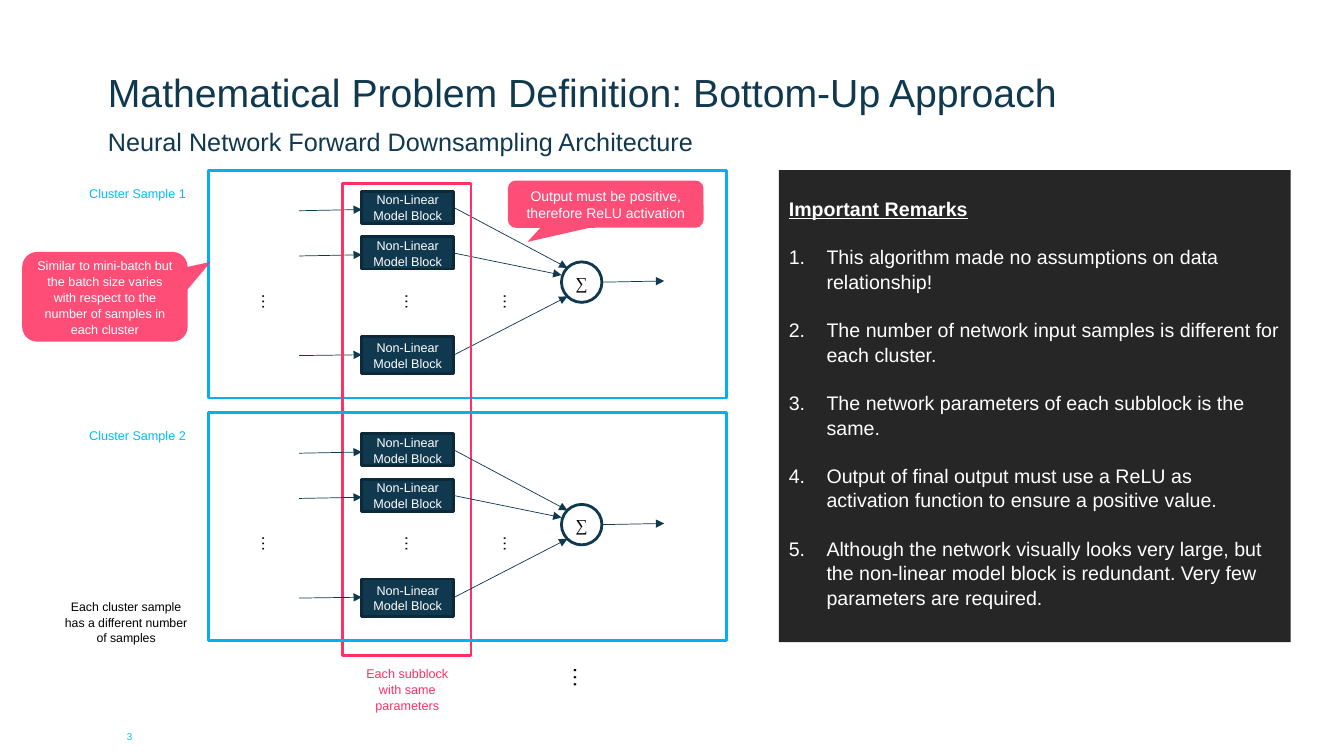
from lxml.etree import SubElement
from pptx import Presentation
from pptx.dml.color import RGBColor
from pptx.enum.shapes import MSO_CONNECTOR, MSO_SHAPE
from pptx.enum.text import MSO_ANCHOR, PP_ALIGN
from pptx.oxml.ns import qn
from pptx.util import Cm, Pt

NAVY = RGBColor(0x10, 0x38, 0x4F)
DARK_NAVY = RGBColor(0x0C, 0x29, 0x3A)
CYAN = RGBColor(0x00, 0xBC, 0xFF)
BLUE = RGBColor(0x00, 0xB0, 0xF0)
PINK = RGBColor(0xFF, 0x31, 0x62)
CALLOUT_PINK = RGBColor(0xFE, 0x30, 0x61)
CHARCOAL = RGBColor(0x26, 0x26, 0x26)
WHITE = RGBColor(0xFF, 0xFF, 0xFF)
BLACK = RGBColor(0x00, 0x00, 0x00)

# Model block rows: top, height, input y (from, to), arrow end at the sum
ROWS = [
    (0.53, 0.81, (1.02, 0.99), (14.3, 2.46)),
    (1.68, 0.81, (2.16, 2.13), (14.15, 2.64)),
    (4.19, 0.94, (4.67, 4.65), (14.3, 3.18)),
]
CLUSTER_TOPS = (4.29, 10.4)
BLOCK_LEFT, BLOCK_WIDTH = 9.12, 2.31

REMARKS = [
    "This algorithm made no assumptions on data relationship!",
    "The number of network input samples is different for each cluster.",
    "The network parameters of each subblock is the same.",
    "Output of final output must use a ReLU as activation function to ensure a positive value.",
    "Although the network visually looks very large, but the non-linear model block is "
    "redundant. Very few parameters are required.",
]


def write(p, text, size=9, color=WHITE, font="Arial", align=PP_ALIGN.CENTER,
          bold=False, underline=False, before=0):
    """Fill one paragraph with formatted text."""
    p.alignment = align
    p.line_spacing = 1.05
    p.space_before = Pt(before)
    r = p.add_run()
    r.text = text
    r.font.name, r.font.size = font, Pt(size)
    r.font.bold, r.font.underline = bold, underline
    r.font.color.rgb = color


def set_insets(tf, x, y):
    tf.margin_left = tf.margin_right = Cm(x)
    tf.margin_top = tf.margin_bottom = Cm(y)


class Canvas:
    def __init__(self, slide, line_width=2, arrow_width=0.5):
        self.slide = slide
        self.shapes = slide.shapes
        self.line_width = Pt(line_width)
        self.arrow_width = Pt(arrow_width)

    def shape(self, kind, x, y, w, h, fill=None, line=None, text=None, insets=(0.25, 0.13), **fmt):
        sp = self.shapes.add_shape(kind, Cm(x), Cm(y), Cm(w), Cm(h))
        sp.shadow.inherit = False
        if fill is None:
            sp.fill.background()
        else:
            sp.fill.solid()
            sp.fill.fore_color.rgb = fill
        if line is None:
            sp.line.fill.background()
        else:
            sp.line.color.rgb = line
            sp.line.width = self.line_width
        if text:
            tf = sp.text_frame
            tf.word_wrap = True
            tf.vertical_anchor = MSO_ANCHOR.MIDDLE
            set_insets(tf, *insets)
            write(tf.paragraphs[0], text, **fmt)
        return sp

    def text(self, x, y, w, h, text, anchor=MSO_ANCHOR.TOP, wrap=True, **fmt):
        tf = self.shapes.add_textbox(Cm(x), Cm(y), Cm(w), Cm(h)).text_frame
        tf.word_wrap = wrap
        tf.vertical_anchor = anchor
        set_insets(tf, 0, 0)
        write(tf.paragraphs[0], text, **fmt)
        return tf

    def dots(self, x, y, size=12):
        tf = self.text(x, y, 0.81, 0.64, "…", wrap=False, size=size, color=BLACK,
                       align=PP_ALIGN.LEFT)
        tf._txBody.bodyPr.set("vert", "eaVert")

    def arrow(self, x1, y1, x2, y2):
        c = self.shapes.add_connector(MSO_CONNECTOR.STRAIGHT, Cm(x1), Cm(y1), Cm(x2), Cm(y2))
        c.line.color.rgb = NAVY
        c.line.width = self.arrow_width
        spPr = c._element.spPr
        SubElement(spPr.find(qn("a:ln")), qn("a:tailEnd"), type="triangle")
        SubElement(spPr, qn("a:effectLst"))

    def callout(self, x, y, w, h, tip, text, size):
        sp = self.shape(MSO_SHAPE.ROUNDED_RECTANGULAR_CALLOUT, x, y, w, h, fill=CALLOUT_PINK,
                        text=text, size=size)
        sp.adjustments[0], sp.adjustments[1] = tip
        color = sp._element.spPr.find(qn("a:solidFill"))[0]
        SubElement(color, qn("a:alpha"), val="85000")

    def cluster(self, top):
        self.shapes = self.slide.shapes.add_group_shape().shapes
        self.shape(MSO_SHAPE.OVAL, 14.15, top + 2.31, 1.02, 1.02, fill=WHITE, line=NAVY,
                   text="∑", insets=(0, 0), size=12, color=BLACK, font="Times New Roman")
        for y, h, (y_from, y_to), (sum_x, sum_y) in ROWS:
            self.shape(MSO_SHAPE.RECTANGLE, BLOCK_LEFT, top + y, BLOCK_WIDTH, h,
                       fill=NAVY, line=DARK_NAVY, text="Non-Linear Model Block")
            self.arrow(7.54, top + y_from, BLOCK_LEFT, top + y_to)
            self.arrow(BLOCK_LEFT + BLOCK_WIDTH, top + y + h / 2, sum_x, top + sum_y)
        self.arrow(15.17, top + 2.82, 16.74, top + 2.79)
        self.shape(MSO_SHAPE.RECTANGLE, 5.26, top, 13.06, 5.74, line=BLUE)
        for x in (6.25, 9.86, 12.34):
            self.dots(x, top + 3.1)
        self.shapes = self.slide.shapes

    def remarks(self, x, y, w, h, heading, items):
        sp = self.shape(MSO_SHAPE.RECTANGLE, x, y, w, h, fill=CHARCOAL, text=heading, size=14,
                        align=PP_ALIGN.LEFT, bold=True, underline=True)
        tf = sp.text_frame
        tf.vertical_anchor = MSO_ANCHOR.TOP
        tf.margin_top = Cm(0.64)
        for item in items:
            p = tf.add_paragraph()
            pPr = p._p.get_or_add_pPr()
            pPr.set("marL", str(Cm(0.95)))
            pPr.set("indent", str(-Cm(0.95)))
            SubElement(pPr, qn("a:buFont"), typeface="+mj-lt")
            SubElement(pPr, qn("a:buAutoNum"), type="arabicPeriod")
            write(p, item, size=14, align=PP_ALIGN.LEFT, before=16.8)


def main():
    prs = Presentation()
    prs.slide_width, prs.slide_height = Cm(33.87), Cm(19.05)
    s = Canvas(prs.slides.add_slide(prs.slide_layouts[6]))

    # Headings and page number
    s.text(2.72, 0.51, 30, 2.39, "Mathematical Problem Definition: Bottom-Up Approach",
           anchor=MSO_ANCHOR.BOTTOM, size=28, color=NAVY, align=PP_ALIGN.LEFT)
    s.text(2.72, 3.15, 30, 0.71, "Neural Network Forward Downsampling Architecture",
           size=18, color=NAVY, align=PP_ALIGN.LEFT)
    s.text(2.72, 18.39, 1.09, 0.3, "3", size=7, color=CYAN)

    # Remarks panel
    s.remarks(19.63, 4.29, 12.9, 11.89, "Important Remarks", REMARKS)

    # Clusters, with the shared-parameter frame between them
    first, second = CLUSTER_TOPS
    s.cluster(first)
    s.shape(MSO_SHAPE.RECTANGLE, 8.64, 4.62, 3.23, 11.89, line=PINK)
    s.cluster(second)
    s.dots(14.25, 16.79, size=16)

    # Labels
    for number, top in enumerate(CLUSTER_TOPS, 1):
        s.text(2.13, top + 0.37, 2.67, 1.35, f"Cluster Sample {number}", color=CYAN)
    s.text(9.12, 16.76, 2.29, 1.35, "Each subblock with same parameters", color=PINK)
    s.text(1.63, 15.09, 3.1, 0.99, "Each cluster sample has a different number of samples",
           size=8.8, color=BLACK)

    # Callouts
    s.callout(12.8, 4.55, 4.93, 1.19, (-0.4, 0.8),
              "Output must be positive, therefore ReLU activation", 10)
    s.callout(0.56, 6.35, 4.17, 2.26, (0.64, -0.39),
              "Similar to mini-batch but the batch size varies with respect to the number of "
              "samples in each cluster", 9)

    prs.save("out.pptx")


if __name__ == "__main__":
    main()
